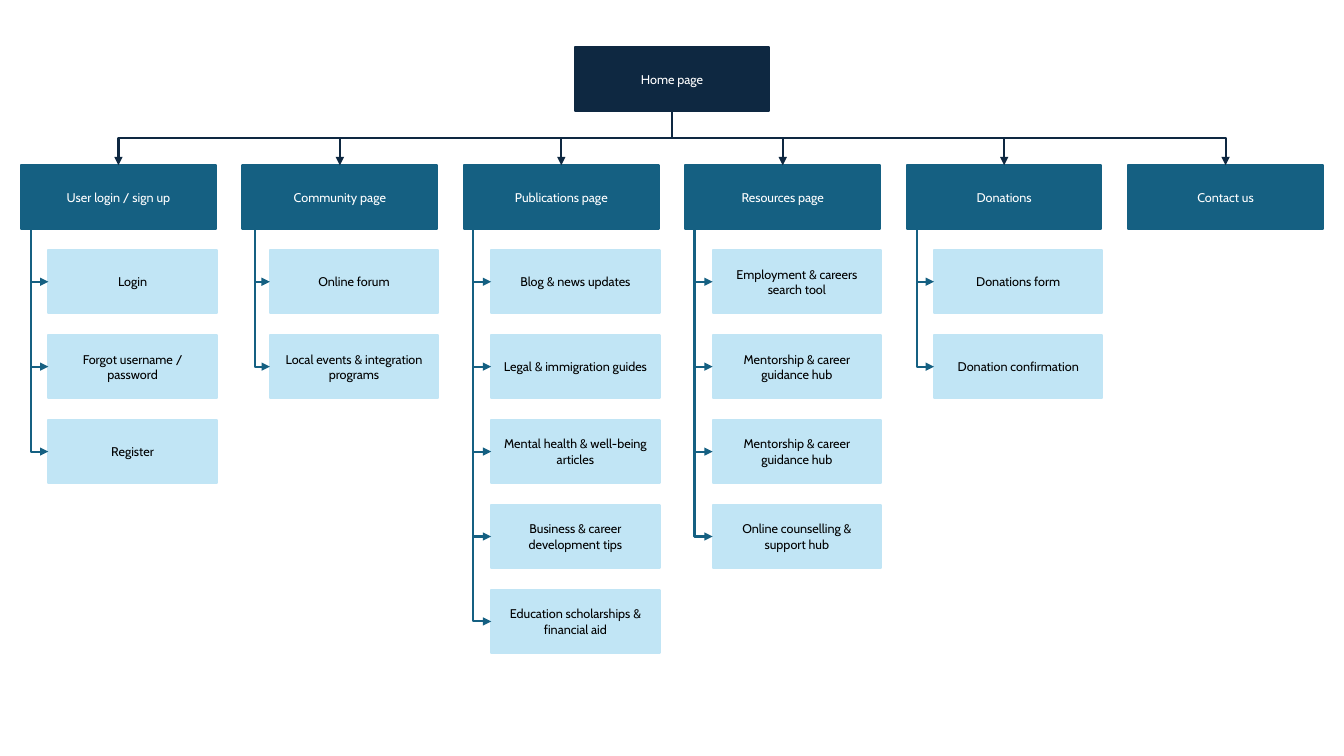
from dataclasses import dataclass

from lxml.etree import SubElement
from pptx import Presentation
from pptx.dml.color import RGBColor
from pptx.enum.shapes import MSO_CONNECTOR as Connector, MSO_SHAPE as Shape
from pptx.enum.text import MSO_ANCHOR as Anchor, PP_ALIGN as Align
from pptx.oxml.ns import qn
from pptx.shapes.autoshape import Shape as Box
from pptx.shapes.connector import Connector as Line
from pptx.slide import Slide
from pptx.util import Inches, Pt

COLORS = {
    "home": "0E2841",
    "section": "156082",
    "page": "C1E5F5",
    "light_text": "FFFFFF",
    "dark_text": "000000",
}
FONT = "Cabin"

BOX_HEIGHT = 0.63
SECTION_WIDTH = 1.93
HOME_LEFT, HOME_TOP = 5.7, 0.47
SECTION_TOP, FIRST_SECTION, LAST_SECTION = 1.64, 0.21, 11.19
PAGE_WIDTH, PAGE_INDENT = 1.67, 0.27
FIRST_PAGE, LAST_PAGE = 2.48, 5.85


@dataclass(frozen=True)
class Section:
    title: str
    pages: tuple[str, ...] = ()
    spine_offset: float = 0.1


SECTIONS = (
    Section("User login / sign up", ("Login", "Forgot username / password", "Register")),
    Section(
        "Community page",
        ("Online forum", "Local events & integration programs"),
        0.12,
    ),
    Section(
        "Publications page",
        (
            "Blog & news updates",
            "Legal & immigration guides",
            "Mental health & well-being articles",
            "Business & career development tips",
            "Education scholarships & financial aid",
        ),
        0.09,
    ),
    Section(
        "Resources page",
        (
            "Employment & careers search tool",
            "Mentorship & career guidance hub",
            "Mentorship & career guidance hub",
            "Online counselling & support hub",
        ),
        0.09,
    ),
    Section("Donations", ("Donations form", "Donation confirmation")),
    Section("Contact us"),
)
SECTION_STEP = (LAST_SECTION - FIRST_SECTION) / (len(SECTIONS) - 1)
PAGE_STEP = (LAST_PAGE - FIRST_PAGE) / (max(len(section.pages) for section in SECTIONS) - 1)


def add_box(
    slide: Slide, text: str, left: float, top: float, width: float,
    color: str, text_color: str = "light_text",
) -> Box:
    box = slide.shapes.add_shape(
        Shape.RECTANGLE, Inches(left), Inches(top), Inches(width), Inches(BOX_HEIGHT)
    )
    box.shadow.inherit = False
    box.fill.solid()
    box.fill.fore_color.rgb = RGBColor.from_string(COLORS[color])
    box.line.color.rgb = RGBColor.from_string(COLORS[color])
    box.line.width = Pt(1.5)
    frame = box.text_frame
    frame.word_wrap = True
    frame.vertical_anchor = Anchor.MIDDLE
    frame.text = text
    paragraph = frame.paragraphs[0]
    paragraph.alignment = Align.CENTER
    font = paragraph.runs[0].font
    font.name = FONT
    font.size = Pt(9)
    font.color.rgb = RGBColor.from_string(COLORS[text_color])
    return box


def style_arrow(arrow: Line, color: str) -> None:
    arrow.line.color.rgb = RGBColor.from_string(COLORS[color])
    arrow.line.width = Pt(1.5)
    SubElement(arrow.line._get_or_add_ln(), qn("a:tailEnd"), type="triangle")
    SubElement(arrow.element.spPr, qn("a:effectLst"))


def add_elbow(
    slide: Slide, begin: tuple[float, float], end: tuple[float, float],
    preset: str, color: str,
) -> None:
    """Draw a bent arrow that leaves downwards, as a preset turned by a quarter."""
    run, drop = abs(end[0] - begin[0]), end[1] - begin[1]
    left = (begin[0] + end[0] - drop) / 2
    top = (begin[1] + end[1] - run) / 2
    arrow = slide.shapes.add_connector(
        Connector.ELBOW, Inches(left), Inches(top), Inches(left + drop), Inches(top + run)
    )
    properties = arrow.element.spPr
    properties.find(qn("a:prstGeom")).set("prst", preset)
    transform = properties.find(qn("a:xfrm"))
    if end[0] < begin[0]:
        transform.set("rot", str(90 * 60000))
    else:
        transform.set("rot", str(270 * 60000))
        transform.set("flipH", "1")
    style_arrow(arrow, color)


def add_page_arrow(slide: Slide, spine: float, middle: float, page: Box) -> None:
    arrow = slide.shapes.add_connector(
        Connector.STRAIGHT, Inches(spine), Inches(middle), page.left, Inches(middle)
    )
    arrow.end_connect(page, 1)
    style_arrow(arrow, "section")


def add_section(slide: Slide, section: Section, left: float) -> None:
    add_box(slide, section.title, left, SECTION_TOP, SECTION_WIDTH, "section")
    spine = left + section.spine_offset
    page_left = left + PAGE_INDENT
    for row, title in enumerate(section.pages):
        top = FIRST_PAGE + row * PAGE_STEP
        middle = top + BOX_HEIGHT / 2
        page = add_box(slide, title, page_left, top, PAGE_WIDTH, "page", "dark_text")
        if row < len(section.pages) - 1:
            add_page_arrow(slide, spine, middle, page)
        else:
            begin = (spine, SECTION_TOP + BOX_HEIGHT)
            add_elbow(slide, begin, (page_left, middle), "bentConnector2", "section")


def main() -> None:
    presentation = Presentation()
    presentation.slide_width = Inches(13.33)
    presentation.slide_height = Inches(7.5)
    slide = presentation.slides.add_slide(presentation.slide_layouts[6])

    add_box(slide, "Home page", HOME_LEFT, HOME_TOP, SECTION_WIDTH, "home")
    home_bottom = (HOME_LEFT + SECTION_WIDTH / 2, HOME_TOP + BOX_HEIGHT)
    for column, section in enumerate(SECTIONS):
        left = FIRST_SECTION + column * SECTION_STEP
        add_section(slide, section, left)
        section_top = (left + SECTION_WIDTH / 2, SECTION_TOP)
        add_elbow(slide, home_bottom, section_top, "bentConnector3", "home")

    presentation.save("out.pptx")


if __name__ == "__main__":
    main()
